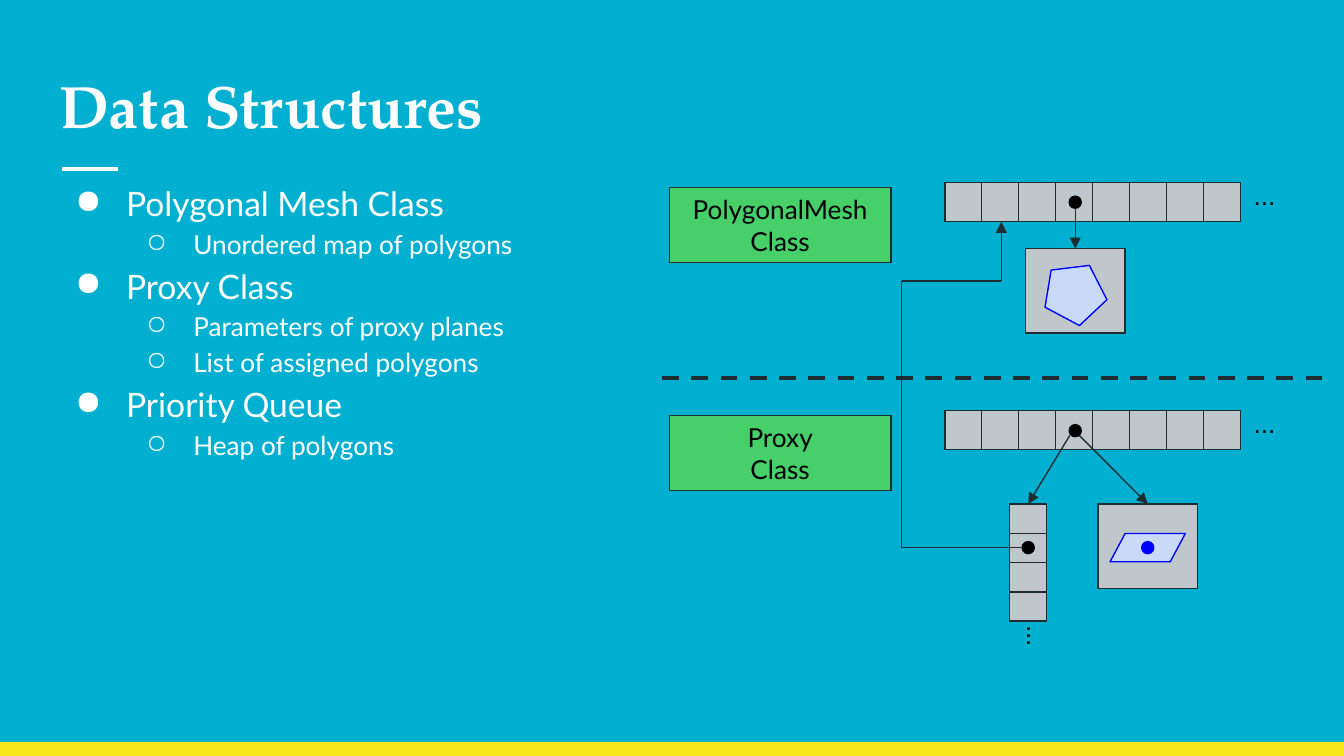
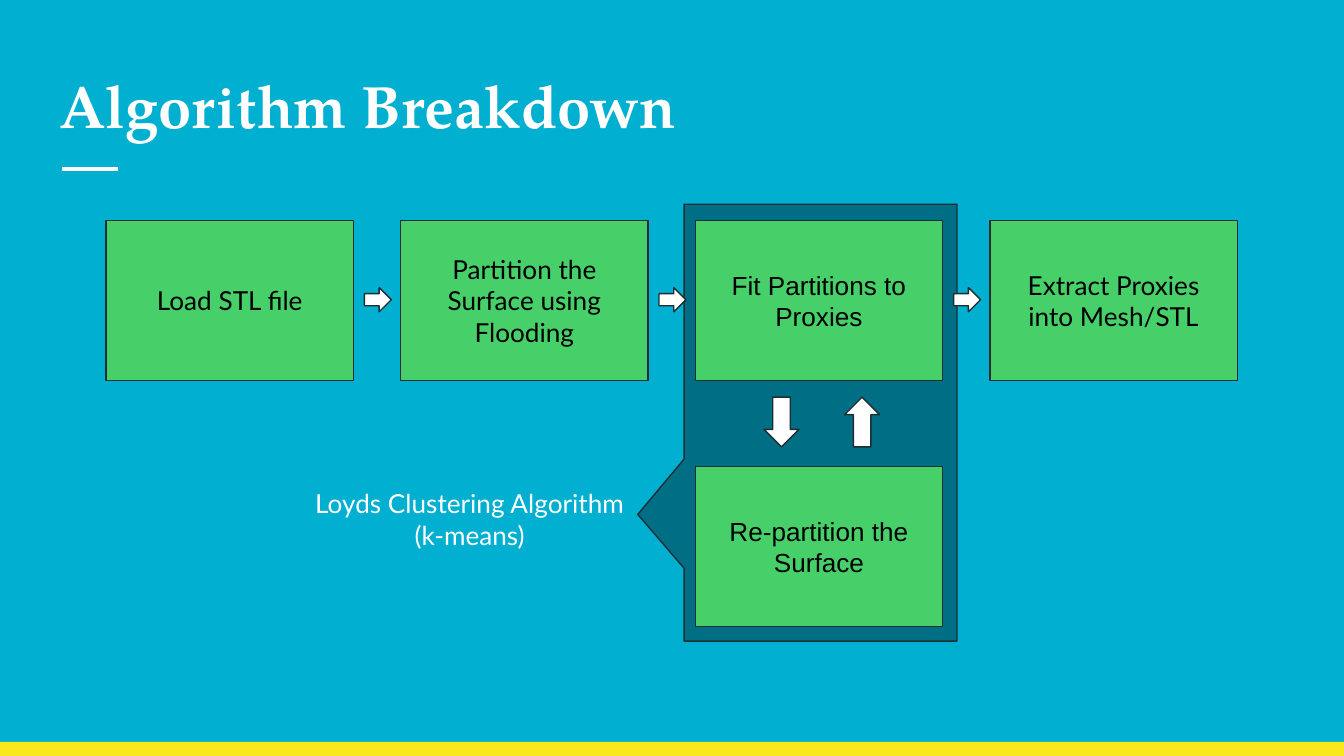
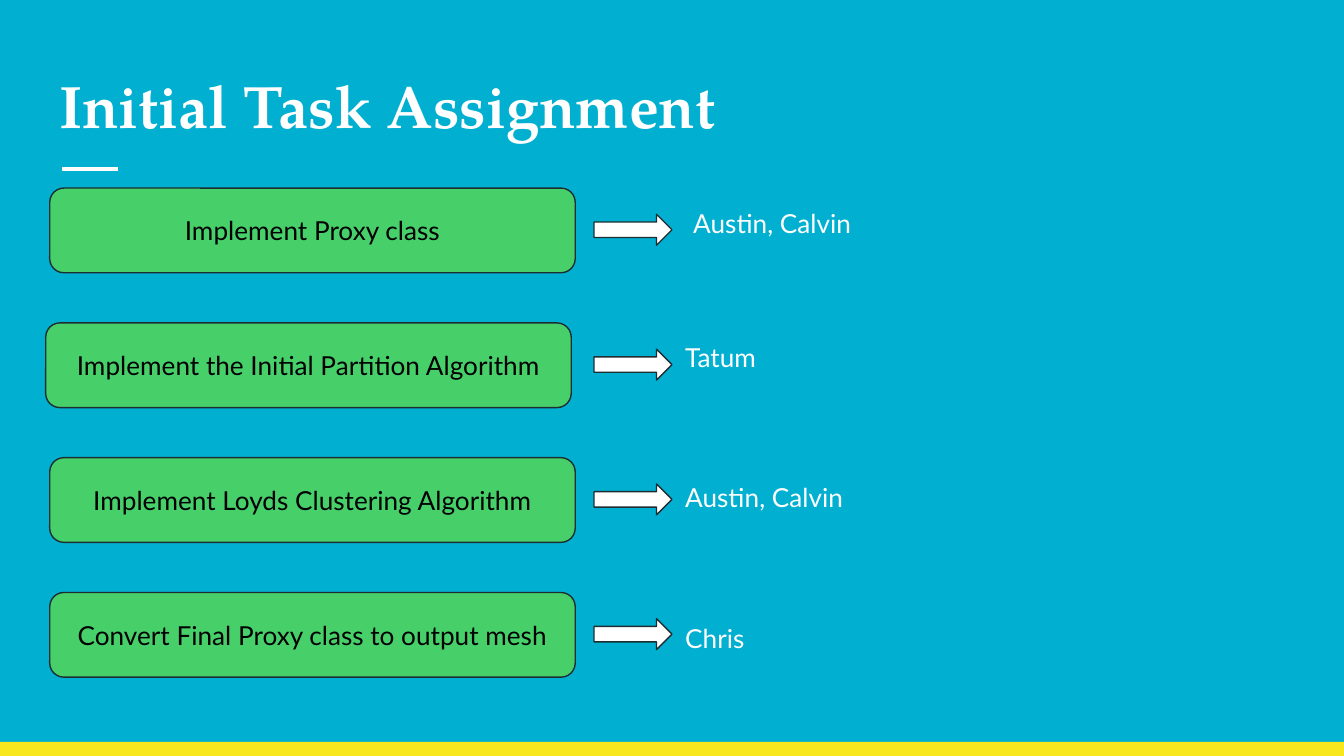
import dataclasses

import lxml.etree
import pptx
import pptx.dml.color
import pptx.enum.dml
import pptx.enum.shapes
import pptx.enum.text
import pptx.oxml.ns
import pptx.util

SHAPE = pptx.enum.shapes.MSO_SHAPE
ANCHOR = pptx.enum.text.MSO_ANCHOR
ALIGN = pptx.enum.text.PP_ALIGN
COLUMNS, ROWS = 100, 56.25


@dataclasses.dataclass(frozen=True)
class Theme:
    background: str = "01AFD1"
    band: str = "F8E71C"
    box: str = "47D06A"
    callout: str = "006F85"
    cell: str = "BFC7CA"
    outline: str = "1E2D31"
    polygon: str = "C9DAF8"
    blue: str = "0000FF"
    white: str = "FFFFFF"
    black: str = "000000"
    title_font: str = "TeX Gyre Pagella"
    body_font: str = "Lato"
    plain_font: str = "Arial"
    title_size: int = 32
    bullet_size: int = 18
    text_size: int = 14
    thin: float = 0.75
    thick: float = 2.25


def rgb(color):
    return pptx.dml.color.RGBColor.from_string(color)


def add_child(parent, tag, **attributes):
    return lxml.etree.SubElement(parent, pptx.oxml.ns.qn(tag), attributes)


class Deck:
    """Draws on the current slide; lengths are grid columns and rows."""

    def __init__(self, theme):
        self.theme = theme
        self.presentation = pptx.Presentation()
        self.presentation.slide_width = pptx.util.Inches(10)
        self.presentation.slide_height = pptx.util.Inches(10 * 9 / 16)
        self.slide = None

    def place(self, column, row):
        return (round(column * self.presentation.slide_width / COLUMNS),
                round(row * self.presentation.slide_height / ROWS))

    def add_slide(self, title):
        theme = self.theme
        layout = self.presentation.slide_layouts.get_by_name("Title Only")
        self.slide = self.presentation.slides.add_slide(layout)
        fill = self.slide.background.fill
        fill.solid()
        fill.fore_color.rgb = rgb(theme.background)
        self.shape(SHAPE.RECTANGLE, 0, 55.2, COLUMNS, ROWS - 55.2, theme.band, None)
        self.line((4.6, 12.6), (8.8, 12.6), theme.white, theme.thick)
        heading = self.slide.shapes.title
        heading.left, heading.top = self.place(3.4, 4.1)
        heading.width, heading.height = self.place(93.2, 7.1)
        self.fill_text(heading.text_frame, title, theme.white, theme.title_font,
                       theme.title_size, ALIGN.LEFT, ANCHOR.TOP, bold=True)

    def prepare(self, frame, anchor):
        frame.word_wrap = True
        frame.auto_size = pptx.enum.text.MSO_AUTO_SIZE.NONE
        frame.vertical_anchor = anchor
        inset = pptx.util.Inches(0.1)
        frame.margin_left = frame.margin_right = inset
        frame.margin_top = frame.margin_bottom = inset

    def add_run(self, paragraph, text, color, font, size, bold=False):
        run = paragraph.add_run()
        run.text = text
        run.font.name = font
        run.font.size = pptx.util.Pt(size)
        run.font.bold = bold
        run.font.color.rgb = rgb(color)

    def fill_text(self, frame, text, color, font, size, align, anchor, bold=False):
        """Fill a text frame, one paragraph for each line of the text."""
        self.prepare(frame, anchor)
        for index, line in enumerate(text.split("\n")):
            paragraph = frame.add_paragraph() if index else frame.paragraphs[0]
            paragraph.alignment = align
            self.add_run(paragraph, line, color, font, size, bold)

    def textbox(self, left, top, width, height):
        return self.slide.shapes.add_textbox(
            *self.place(left, top), *self.place(width, height))

    def text(self, left, top, width, height, text, align=ALIGN.LEFT):
        box = self.textbox(left, top, width, height)
        self.fill_text(box.text_frame, text, self.theme.white, self.theme.body_font,
                       self.theme.text_size, align, ANCHOR.TOP)

    def ellipsis(self, left, top, rotation=0):
        box = self.textbox(left, top, 4.4, 4.7)
        box.rotation = rotation
        self.fill_text(box.text_frame, "...", self.theme.black, self.theme.plain_font,
                       self.theme.text_size, ALIGN.LEFT, ANCHOR.MIDDLE)

    def bullets(self, left, top, width, height, items):
        """Add (level, text) pairs as a two-level list."""
        theme = self.theme
        styles = (("●", 0.5, -0.38, theme.bullet_size),
                  ("○", 1, -0.35, theme.text_size))
        frame = self.textbox(left, top, width, height).text_frame
        self.prepare(frame, ANCHOR.TOP)
        for index, (level, text) in enumerate(items):
            mark, margin, indent, size = styles[level]
            paragraph = frame.add_paragraph() if index else frame.paragraphs[0]
            paragraph.level = level
            paragraph.line_spacing = 1.15
            self.add_run(paragraph, text, theme.white, theme.body_font, size)
            properties = paragraph._p.get_or_add_pPr()
            properties.set("marL", str(pptx.util.Inches(margin)))
            properties.set("indent", str(pptx.util.Inches(indent)))
            add_child(add_child(properties, "a:buClr"), "a:srgbClr", val=theme.white)
            add_child(properties, "a:buChar", char=mark)

    def shape(self, kind, left, top, width, height, fill, outline,
              rotation=0, adjustments=()):
        shape = self.slide.shapes.add_shape(
            kind, *self.place(left, top), *self.place(width, height))
        shape.shadow.inherit = False
        shape.rotation = rotation
        for index, value in enumerate(adjustments):
            shape.adjustments[index] = value
        shape.fill.solid()
        shape.fill.fore_color.rgb = rgb(fill)
        if outline:
            shape.line.color.rgb = rgb(outline)
            shape.line.width = pptx.util.Pt(self.theme.thin)
        else:
            shape.line.fill.background()
        return shape

    def box(self, left, top, width, height, text, kind=SHAPE.RECTANGLE, font=None):
        shape = self.shape(kind, left, top, width, height,
                           self.theme.box, self.theme.outline)
        self.fill_text(shape.text_frame, text, self.theme.black,
                       font or self.theme.body_font, self.theme.text_size,
                       ALIGN.CENTER, ANCHOR.MIDDLE)

    def cell(self, left, top, width, height):
        self.shape(SHAPE.RECTANGLE, left, top, width, height,
                   self.theme.cell, self.theme.outline)

    def dot(self, column, row, color):
        size = 0.9
        self.shape(SHAPE.OVAL, column - size / 2, row - size / 2, size, size,
                   color, color)

    def block_arrow(self, left, top, width, height, rotation=0):
        self.shape(SHAPE.RIGHT_ARROW, left, top, width, height,
                   self.theme.white, self.theme.outline, rotation)

    def line(self, start, end, color=None, width=None, arrow=False, dashed=False):
        connector = self.slide.shapes.add_connector(
            pptx.enum.shapes.MSO_CONNECTOR.STRAIGHT,
            *self.place(*start), *self.place(*end))
        connector.line.color.rgb = rgb(color or self.theme.outline)
        connector.line.width = pptx.util.Pt(width or self.theme.thin)
        if dashed:
            connector.line.dash_style = pptx.enum.dml.MSO_LINE.DASH
        properties = connector.element.spPr
        if arrow:
            add_child(properties.get_or_add_ln(), "a:tailEnd", type="triangle")
        add_child(properties, "a:effectLst")


def draw_data_structures(deck):
    theme = deck.theme
    deck.add_slide("Data Structures")
    deck.bullets(3.4, 12.2, 37.6, 24.3, (
        (0, "Polygonal Mesh Class"),
        (1, "Unordered map of polygons"),
        (0, "Proxy Class"),
        (1, "Parameters of proxy planes"),
        (1, "List of assigned polygons"),
        (0, "Priority Queue"),
        (1, "Heap of polygons"),
    ))

    cell_width, list_row_height = 2.75, 2.18
    for top, name in ((13.6, "PolygonalMesh\nClass"), (30.55, "Proxy\nClass")):
        for index in range(8):
            deck.cell(70.3 + index * cell_width, top, cell_width, 2.9)
        deck.ellipsis(92.3, top - 1.4)
        deck.box(49.8, top + 0.35, 16.5, 5.6, name)
    for index in range(4):
        deck.cell(75.1, 37.5 + index * list_row_height, cell_width, list_row_height)
    deck.ellipsis(75, 45.4, rotation=90)

    for left, top in ((76.3, 18.5), (81.7, 37.5)):
        deck.cell(left, top, 7.4, 6.3)
    deck.shape(SHAPE.REGULAR_PENTAGON, 77.7, 19.5, 4.7, 4.3,
               theme.polygon, theme.blue, rotation=28)
    deck.shape(SHAPE.FLOWCHART_DATA, 82.6, 39.7, 5.6, 2.1, theme.polygon, theme.blue)

    for start, end in (((80, 15.1), (80, 18.5)),
                       ((80, 32.1), (85.4, 37.5)),
                       ((79.6, 32.4), (76.5, 37.5))):
        deck.line(start, end, arrow=True)
    for column, row, color in ((80, 15.05, theme.black), (80, 32.05, theme.black),
                               (76.5, 40.75, theme.black), (85.4, 40.75, theme.blue)):
        deck.dot(column, row, color)

    link = ((76.1, 40.75), (67.1, 40.75), (67.1, 20.9), (74.5, 20.9), (74.5, 16.5))
    for start, end in zip(link, link[1:]):
        deck.line(start, end, arrow=end == link[-1])
    deck.line((98.4, 28.1), (49.2, 28.1), width=theme.thick, dashed=True)


def draw_algorithm(deck):
    theme = deck.theme
    deck.add_slide("Algorithm Breakdown")
    deck.shape(SHAPE.ROUNDED_RECTANGULAR_CALLOUT, 44.8, 21.3, 32.5, 20.3,
               theme.callout, theme.outline, rotation=90,
               adjustments=(0.21, 0.67, 0))

    first, top, pitch, width, height = 7.9, 16.4, 21.92, 18.4, 11.9
    steps = (("Load STL file", theme.body_font),
             ("Partition the Surface using Flooding", theme.body_font),
             ("Fit Partitions to Proxies", theme.plain_font),
             ("Extract Proxies into Mesh/STL", theme.body_font))
    for index, (text, font) in enumerate(steps):
        left = first + index * pitch
        deck.box(left, top, width, height, text, font=font)
        if index:
            deck.block_arrow(left - 2.7, 21.4, 2, 1.8)
    deck.box(first + 2 * pitch, 34.7, width, height, "Re-partition the Surface",
             font=theme.plain_font)
    for left, rotation in ((56.3, 90), (62.3, 270)):
        deck.block_arrow(left, 30.1, 3.7, 2.6, rotation)
    deck.text(21.7, 35.3, 26.5, 7.5, "Loyds Clustering Algorithm\n(k-means)",
              ALIGN.CENTER)


def draw_tasks(deck):
    deck.add_slide("Initial Task Assignment")
    tasks = (
        ("Implement Proxy class", 3.7, "Austin, Calvin", 50.6, 14.4),
        ("Implement the Initial Partition Algorithm", 3.4, "Tatum", 50, 24.4),
        ("Implement Loyds Clustering Algorithm", 3.7, "Austin, Calvin", 50, 34.8),
        ("Convert Final Proxy class to output mesh", 3.7, "Chris", 50, 45.3),
    )
    for index, (task, task_left, people, people_left, people_top) in enumerate(tasks):
        top = 14 + index * 10.03
        deck.box(task_left, top, 39.1, 6.3, task, SHAPE.ROUNDED_RECTANGLE)
        deck.block_arrow(44.2, top + 1.95, 5.8, 2.3)
        deck.text(people_left, people_top, 28.6, 5.5, people)


def main():
    deck = Deck(Theme())
    draw_data_structures(deck)
    draw_algorithm(deck)
    draw_tasks(deck)
    deck.presentation.save("out.pptx")


if __name__ == "__main__":
    main()
